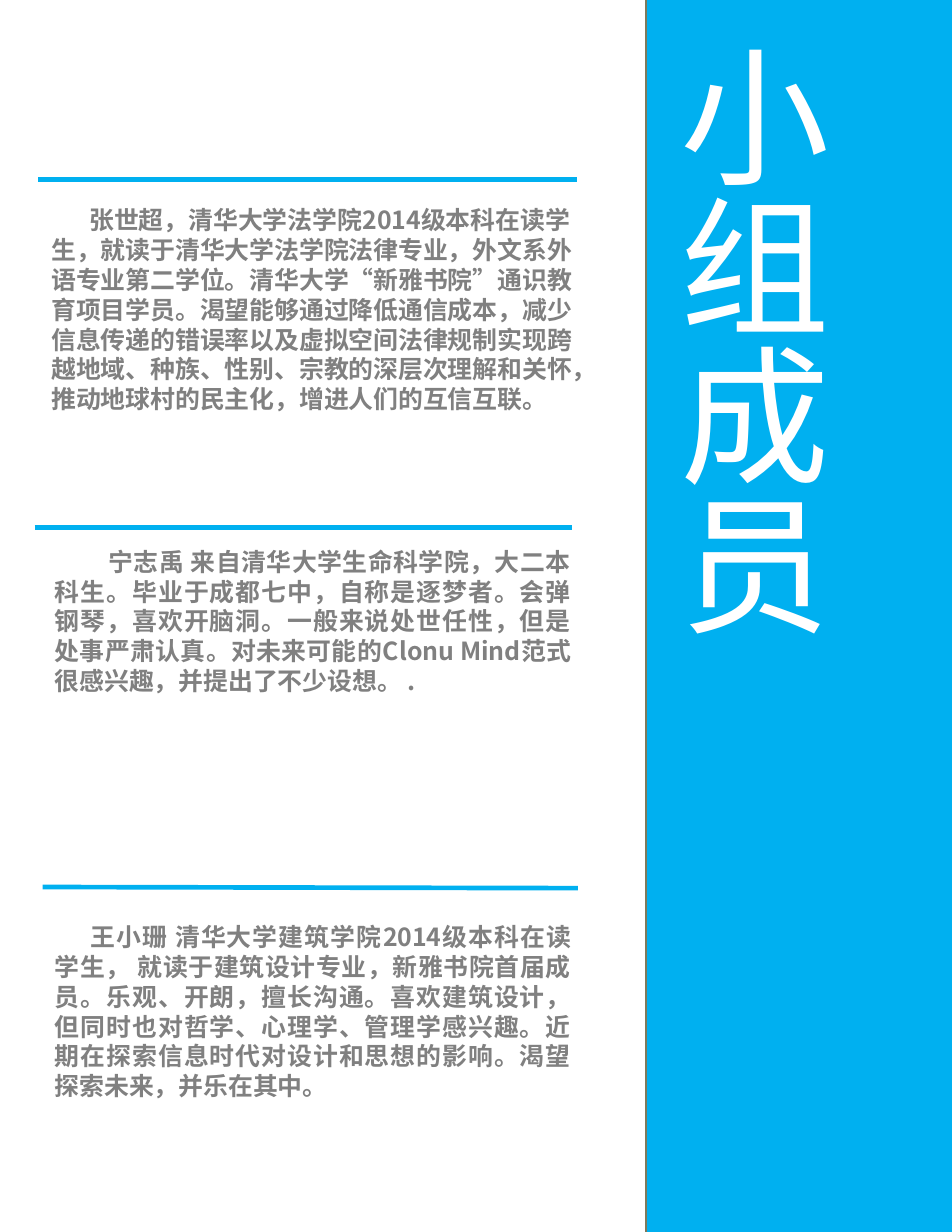
from lxml import etree
from pptx import Presentation
from pptx.dml.color import RGBColor
from pptx.enum.shapes import MSO_CONNECTOR, MSO_SHAPE
from pptx.enum.text import MSO_ANCHOR, MSO_AUTO_SIZE, PP_ALIGN
from pptx.oxml.ns import qn
from pptx.util import Inches, Pt

STRAIGHT = MSO_CONNECTOR.STRAIGHT
RECTANGLE = MSO_SHAPE.RECTANGLE
TOP = MSO_ANCHOR.TOP
NO_FIT = MSO_AUTO_SIZE.NONE
LEFT, JUSTIFY = PP_ALIGN.LEFT, PP_ALIGN.JUSTIFY

COLORS = {"blue": "00B0F0", "edge": "7D7A5C", "gray": "808080", "white": "FFFFFF"}
FONT = "Noto Sans CJK SC"
COLS, ROWS = 85, 110

prs = Presentation()
prs.slide_width, prs.slide_height = Inches(8.5), Inches(11)
COL, ROW = prs.slide_width / COLS, prs.slide_height / ROWS
s = prs.slides.add_slide(prs.slide_layouts[5])


def grid(x, y, w, h):
    return int(x * COL), int(y * ROW), int(w * COL), int(h * ROW)


def write(tf, text, size, color, bold, align, spacing):
    tf.word_wrap = True
    tf.auto_size = NO_FIT
    tf.vertical_anchor = TOP
    p = tf.paragraphs[0]
    p.alignment = align
    p.line_spacing = Pt(spacing)
    r = p.add_run()
    r.text = text
    r.font.name = FONT
    r.font.size = Pt(size)
    r.font.bold = bold
    r.font.color.rgb = RGBColor.from_string(COLORS[color])
    etree.SubElement(r.font._element, qn("a:ea"), typeface=FONT)
    return p


members = [
    ((3.6, 17.8, 48.7, 19.7), 3.4, LEFT, (3.4, 16, 51.5, 16),
     "张世超，清华大学法学院2014级本科在读学生，就读于清华大学法学院法律专业，外文系外语专业第二学位。"
     "清华大学“新雅书院”通识教育项目学员。渴望能够通过降低通信成本，减少信息传递的错误率以及虚拟空间"
     "法律规制实现跨越地域、种族、性别、宗教的深层次理解和关怀，推动地球村的民主化，增进人们的互信互联。"),
    ((3.9, 48.3, 48.1, 14.7), 4.8, JUSTIFY, (3.1, 47.1, 51.1, 47.1),
     "宁志禹 来自清华大学生命科学院，大二本科生。毕业于成都七中，自称是逐梦者。会弹钢琴，喜欢开脑洞。"
     "一般来说处世任性，但是处事严肃认真。对未来可能的Clonu Mind范式很感兴趣，并提出了不少设想。 ."),
    ((3.9, 81.8, 48.1, 17), 3.2, JUSTIFY, (3.8, 79.2, 51.6, 79.3),
     "王小珊 清华大学建筑学院2014级本科在读学生， 就读于建筑设计专业，新雅书院首届成员。乐观、开朗，"
     "擅长沟通。喜欢建筑设计，但同时也对哲学、心理学、管理学感兴趣。近期在探索信息时代对设计和思想的"
     "影响。渴望探索未来，并乐在其中。"),
]

for box, indent, align, ends, bio in members:
    tf = s.shapes.add_textbox(*grid(*box)).text_frame
    p = write(tf, bio, 16, "gray", True, align, 19.2)
    p._p.get_or_add_pPr().set("indent", str(int(indent * COL)))
    rule = s.shapes.add_connector(STRAIGHT, *grid(*ends))
    rule.line.color.rgb = RGBColor.from_string(COLORS["blue"])
    rule.line.width = Pt(3)
    etree.SubElement(rule._element.spPr, qn("a:effectLst"))

panel = s.shapes.add_shape(RECTANGLE, *grid(57.7, -0.4, 27.5, 110.6))
panel.shadow.inherit = False
panel.fill.solid()
panel.fill.fore_color.rgb = RGBColor.from_string(COLORS["blue"])
panel.line.color.rgb = RGBColor.from_string(COLORS["edge"])
panel.line.width = Pt(1)

title = s.shapes.title
title.left, title.top, title.width, title.height = grid(57.9, 3.3, 18, 68.4)
write(title.text_frame, "小组成员", 96, "white", False, LEFT, 115)
title.text_frame._txBody.bodyPr.set("vert", "eaVert")
panel._element.addnext(title._element)

prs.save("out.pptx")
